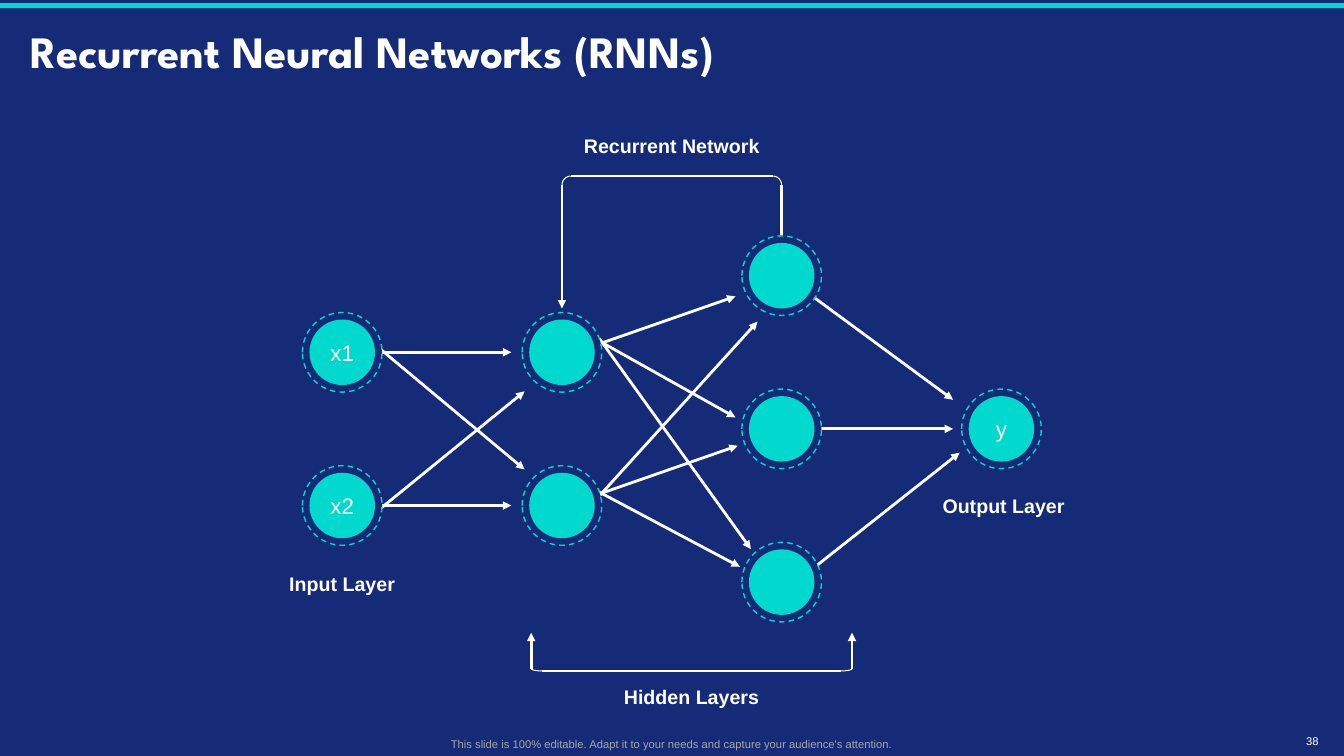
"""Build a slide that shows a recurrent neural network as a node diagram."""
import math
from dataclasses import dataclass

import lxml.etree
import pptx
import pptx.dml.color
import pptx.enum.dml
import pptx.enum.shapes
import pptx.enum.text
import pptx.oxml.ns
import pptx.slide
import pptx.util

ALIGN = pptx.enum.text.PP_ALIGN
SHAPE = pptx.enum.shapes.MSO_SHAPE
RGB = pptx.dml.color.RGBColor
qn = pptx.oxml.ns.qn


@dataclass(frozen=True)
class Theme:
    navy: str = "152B77"
    teal: str = "01D9CE"
    white: str = "FFFFFF"
    grey: str = "A6A6A6"
    head: str = "League Spartan"
    body: str = "Arial"
    title: int = 32
    node: int = 16
    label: int = 14
    small: int = 8
    hairline: int = 0
    ring: int = 1


@dataclass(frozen=True)
class Node:
    col: int
    row: int
    text: str = ""
    width: float = 0


@dataclass(frozen=True)
class Edge:
    col1: float
    row1: float
    col2: float
    row2: float
    arrow: bool = True


@dataclass(frozen=True)
class Bracket:
    left: float
    right: float
    bar: float
    left_tip: float
    right_tip: float
    rx: float
    ry: float
    right_arrow: bool


@dataclass(frozen=True)
class Label:
    text: str
    col: float
    row: float
    width: float


T = Theme()
COLS, ROWS = 160, 90
CELL = pptx.util.Inches(7.5) / ROWS
COL0, COL_STEP = 40.74, 26.16
ROW0, ROW_STEP = 32.82, 9.12
RING, CORE = 9.48, 7.8
NODE_H, LABEL_H = 4.44, 4.08

NODES = [
    Node(2, 0), Node(2, 2), Node(2, 4), Node(1, 3), Node(1, 1),
    Node(0, 1, "x1", 5.28), Node(0, 3, "x2", 5.28), Node(3, 2, "y", 3.72),
]
EDGES = [
    Edge(1.97, -0.09, 2.78, 1.62), Edge(2.02, 4.1, 2.81, 2.31), Edge(2.15, 2, 2.78, 2),
    Edge(1.16, 2.81, 1.81, 3.8), Edge(1.17, 0.82, 1.86, 3.57), Edge(1.05, 0.66, 1.79, 1.85),
    Edge(1.17, 2.85, 1.8, 2.22), Edge(1.14, 2.97, 1.89, 0.6), Edge(1.18, 0.88, 1.79, 0.27),
    Edge(0.18, 3, 0.77, 3), Edge(0.14, 3.12, 0.83, 1.51),
    Edge(0.17, 0.95, 0.83, 2.53), Edge(0.18, 1, 0.77, 1),
]
BRACKETS = [
    Bracket(1, 2, -1.3, 0.43, -0.52, 0.04, 0.12, False),
    Bracket(0.86, 2.32, 5.16, 4.66, 4.66, 0.05, -0.03, True),
]
LABELS = [
    Label("Input Layer", 0, 4.02, 15.12),
    Label("Recurrent Network", 1.5, -1.7, 23.52),
    Label("Output Layer", 3.01, 3, 17.04),
    Label("Hidden Layers", 1.59, 5.49, 18.6),
]


def emu(cells: float) -> int:
    return round(cells * CELL)


def at(col: float, row: float) -> tuple[float, float]:
    return COL0 + col * COL_STEP, ROW0 + row * ROW_STEP


def rgb(value: str) -> RGB:
    return RGB.from_string(value)


def add_text(s: pptx.slide.Slide, text: str, x: float, y: float, w: float, h: float, size: int,
             color: str = T.white, font: str = T.body, bold: bool = False, align: ALIGN = ALIGN.CENTER,
             wrap: bool = False, inset: bool = True, spacing: float | None = None) -> None:
    tf = s.shapes.add_textbox(emu(x), emu(y), emu(w), emu(h)).text_frame
    tf.word_wrap = wrap
    tf.vertical_anchor = pptx.enum.text.MSO_ANCHOR.MIDDLE
    if not inset:
        tf.margin_left = tf.margin_right = tf.margin_top = tf.margin_bottom = 0
    p = tf.paragraphs[0]
    p.text = text
    p.alignment = align
    p.line_spacing = spacing
    p.font.size = pptx.util.Pt(size)
    p.font.name = font
    p.font.bold = bold
    p.font.color.rgb = rgb(color)


def add_centred(s: pptx.slide.Slide, text: str, col: float, row: float, w: float, h: float,
                size: int, bold: bool = False) -> None:
    x, y = at(col, row)
    add_text(s, text, x - w / 2, y - h / 2, w, h, size, bold=bold)


def add_edge(s: pptx.slide.Slide, edge: Edge) -> None:
    ends = (*at(edge.col1, edge.row1), *at(edge.col2, edge.row2))
    c = s.shapes.add_connector(pptx.enum.shapes.MSO_CONNECTOR.STRAIGHT, *map(emu, ends))
    c.line.color.rgb = rgb(T.white)
    c.line.width = pptx.util.Pt(T.hairline)
    sp_pr = c._element.spPr
    if edge.arrow:
        lxml.etree.SubElement(sp_pr.find(qn("a:ln")), qn("a:tailEnd"), type="triangle")
    lxml.etree.SubElement(sp_pr, qn("a:effectLst"))


def add_corner(s: pptx.slide.Slide, col: float, row: float, rx: float, ry: float) -> None:
    angles = [math.radians(a) for a in range(0, 91, 15)]
    arc = [at(col + rx * (1 - math.sin(a)), row + ry * (1 - math.cos(a))) for a in angles]
    points = [(emu(x), emu(y)) for x, y in arc]
    builder = s.shapes.build_freeform(*points[0])
    builder.add_line_segments(points[1:], close=False)
    sp = builder.convert_to_shape()
    sp.shadow.inherit = False
    sp.fill.background()
    sp.line.color.rgb = rgb(T.white)
    sp.line.width = pptx.util.Pt(T.hairline)


def add_bracket(s: pptx.slide.Slide, b: Bracket) -> None:
    turn = b.bar + b.ry
    add_edge(s, Edge(b.left, turn, b.left, b.left_tip))
    add_edge(s, Edge(b.left + b.rx, b.bar, b.right - b.rx, b.bar, False))
    add_edge(s, Edge(b.right, turn, b.right, b.right_tip, b.right_arrow))
    add_corner(s, b.left, b.bar, b.rx, b.ry)
    add_corner(s, b.right, b.bar, -b.rx, b.ry)


def add_node(s: pptx.slide.Slide, node: Node) -> None:
    x, y = at(node.col, node.row)
    for size, fill in ((RING, T.navy), (CORE, T.teal)):
        sp = s.shapes.add_shape(SHAPE.OVAL, emu(x - size / 2), emu(y - size / 2), emu(size), emu(size))
        sp.shadow.inherit = False
        sp.fill.solid()
        sp.fill.fore_color.rgb = rgb(fill)
        if size == RING:
            sp.line.color.rgb = rgb(T.teal)
            sp.line.width = pptx.util.Pt(T.ring)
            sp.line.dash_style = pptx.enum.dml.MSO_LINE.DASH
        else:
            sp.line.fill.background()
    if node.text:
        add_centred(s, node.text, node.col, node.row, node.width, NODE_H, T.node)


def main() -> None:
    prs = pptx.Presentation()
    prs.slide_width, prs.slide_height = emu(COLS), emu(ROWS)
    s = prs.slides.add_slide(prs.slide_layouts[6])
    s.background.fill.solid()
    s.background.fill.fore_color.rgb = rgb(T.navy)
    bar = s.shapes.add_shape(SHAPE.RECTANGLE, 0, emu(0.36), emu(COLS), emu(0.6))
    bar.shadow.inherit = False
    bar.fill.solid()
    bar.fill.fore_color.rgb = rgb(T.teal)
    bar.line.fill.background()
    add_text(s, "Recurrent Neural Networks (RNNs)", 2.4, 1.2, 155.2, 10.56, T.title,
             font=T.head, bold=True, align=ALIGN.LEFT, wrap=True, spacing=0.9)
    for bracket in BRACKETS:
        add_bracket(s, bracket)
    for edge in EDGES:
        add_edge(s, edge)
    for node in NODES:
        add_node(s, node)
    for label in LABELS:
        add_centred(s, label.text, label.col, label.row, label.width, LABEL_H, T.label, True)
    add_text(s, "This slide is 100% editable. Adapt it to your needs and capture your audience's attention.",
             7.44, 87.12, 145.08, 2.88, T.small, T.grey, wrap=True)
    add_text(s, "38", 153.84, 87.36, 4.8, 1.68, T.small, wrap=True, inset=False)
    prs.save("out.pptx")


if __name__ == "__main__":
    main()
